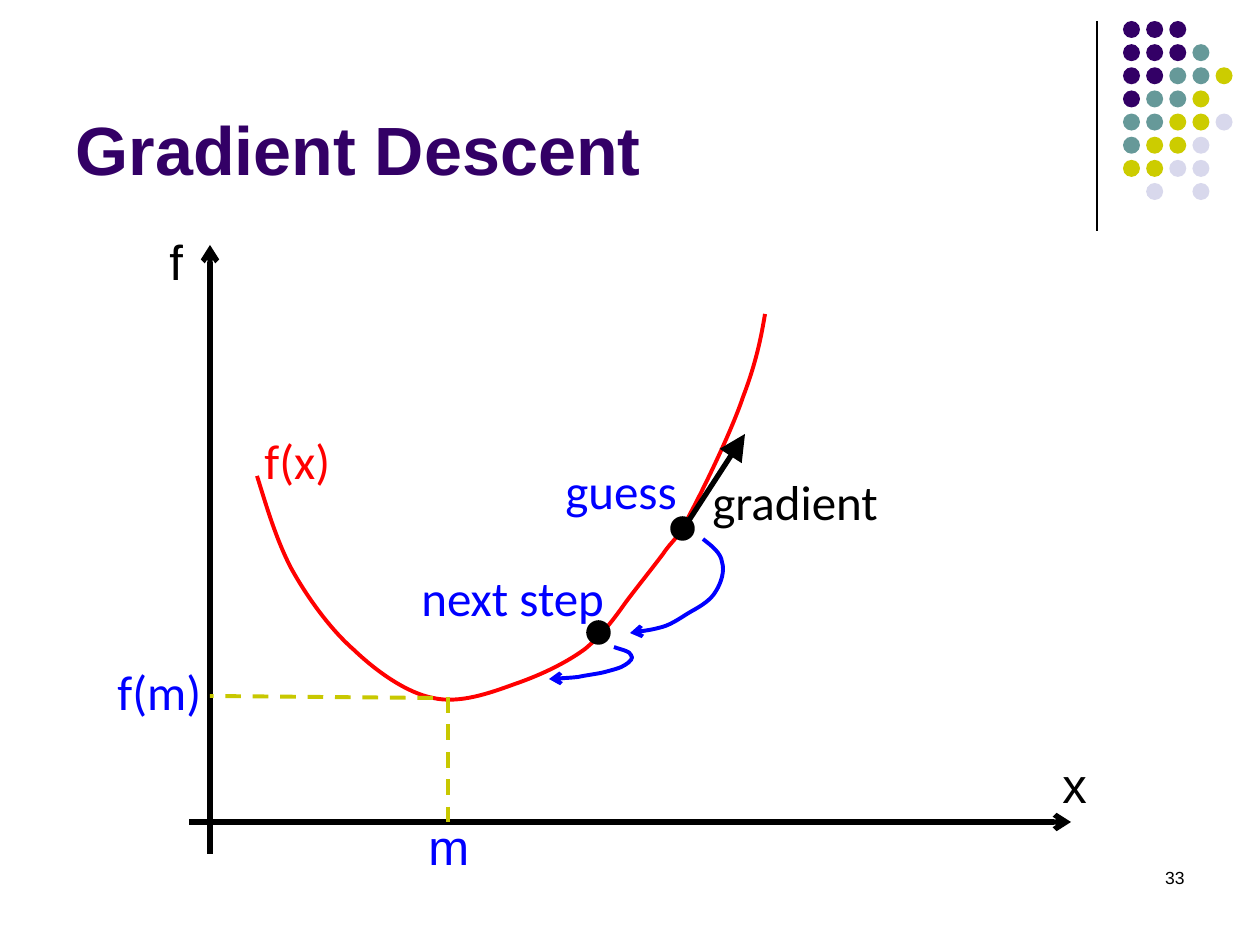
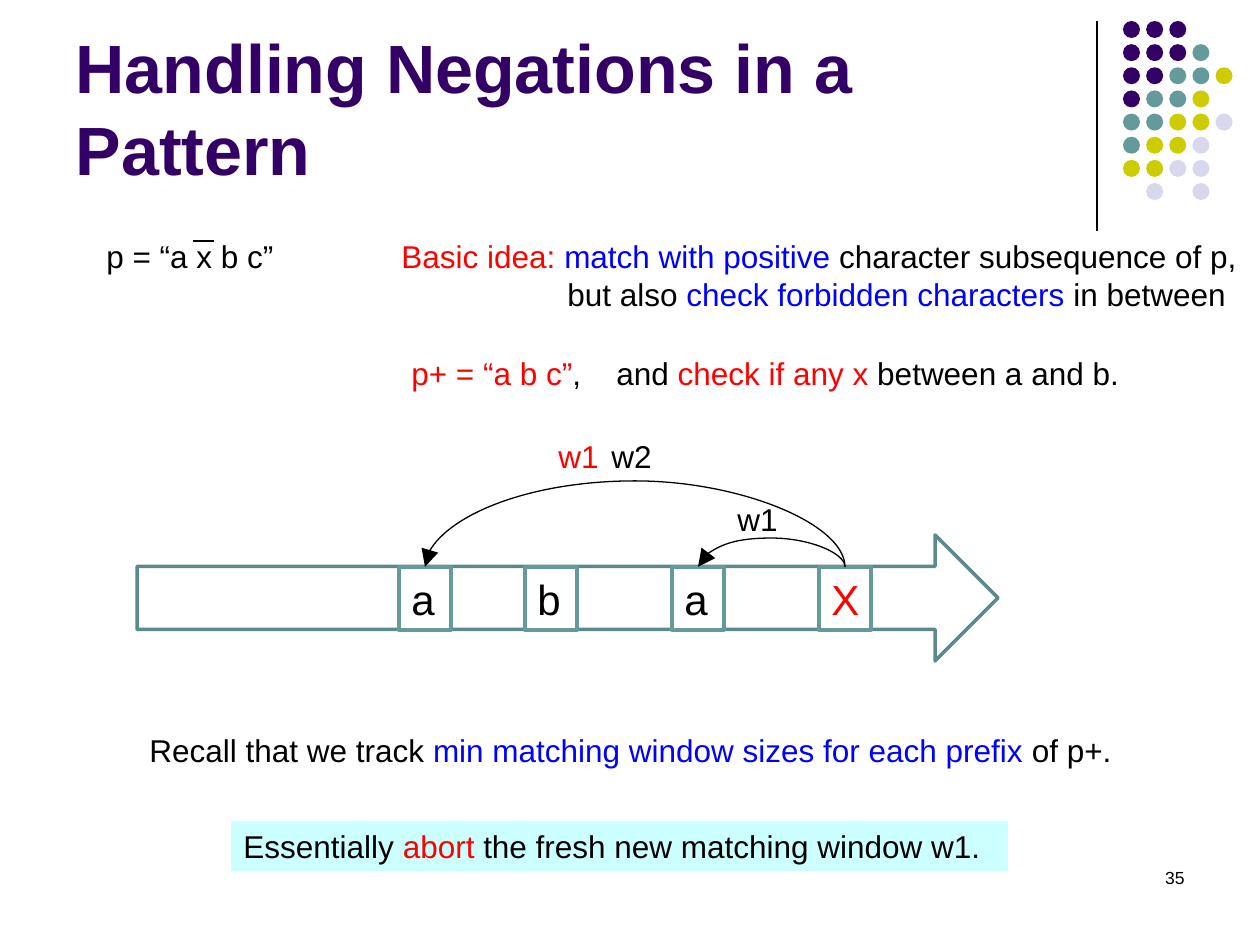
from dataclasses import dataclass

from lxml import etree
from pptx import Presentation
from pptx.dml.color import RGBColor
from pptx.enum.dml import MSO_LINE
from pptx.enum.shapes import MSO_CONNECTOR, MSO_SHAPE
from pptx.enum.text import MSO_ANCHOR, MSO_AUTO_SIZE, PP_ALIGN
from pptx.oxml.ns import qn
from pptx.util import Pt

STRAIGHT, CURVE = MSO_CONNECTOR.STRAIGHT, MSO_CONNECTOR.CURVE
OVAL, RECT, RIGHT_ARROW = MSO_SHAPE.OVAL, MSO_SHAPE.RECTANGLE, MSO_SHAPE.RIGHT_ARROW
DASH = MSO_LINE.DASH
TOP, MIDDLE, BOTTOM = MSO_ANCHOR.TOP, MSO_ANCHOR.MIDDLE, MSO_ANCHOR.BOTTOM
LEFT, RIGHT = PP_ALIGN.LEFT, PP_ALIGN.RIGHT
NO_AUTOFIT = MSO_AUTO_SIZE.NONE
TITLE_ONLY = 5
EMU_PER_PX = 914400 / 126
CONNECTOR_DEPTH = 1588  # EMU between the two ends of a level curved connector
OPEN_HEAD = {"type": "arrow"}
LARGE_HEAD = {"type": "triangle", "w": "lg", "len": "lg"}


@dataclass(frozen=True)
class Theme:
    purple: str = "330066"
    teal: str = "669999"
    dark_teal: str = "5C8A8A"
    olive: str = "CCCC00"
    dash: str = "C8C800"
    lavender: str = "D8D8EC"
    cyan: str = "CCFFFF"
    black: str = "000000"
    white: str = "FFFFFF"
    red: str = "FF0000"
    blue: str = "0000FF"
    font: str = "Arial"
    label_font: str = "Calibri"
    title_size: int = 39
    label_size: int = 28
    box_size: int = 24
    body_size: int = 18
    number_size: int = 10


T = Theme()

# Shared by both slides
TITLE_BOX = (63, 16, 1040, 179)
NUMBER_BOX = (903, 861, 294, 63)
RULE = ((1097, 21), (1097, 231))
DOT_ROWS = ["PPP", "PPPT", "PPTTO", "PTTO", "TTOOL", "TOOL", "OOLL", " L L"]
DOT_COLORS = {"P": T.purple, "T": T.teal, "O": T.olive, "L": T.lavender}
DOT_LEFT, DOT_TOP, DOT_SIZE = 1123, 21, 17
DOT_PITCH = 162 / (len(DOT_ROWS) - 1)

# Gradient descent
AXES = [((189, 822), (1071, 822)), ((210, 854), (210, 245))]
GUIDES = [((448, 697), (448, 822)), ((433, 698), (210, 696))]
GRADIENT = ((684, 528), (745, 434))
POINTS = [(672, 518), (588, 622)]
POINT_SIZE = 21
# A start point, then two control points and an end point per piece
FUNCTION_CURVE = [
    (257, 476), (267, 508), (276, 539), (291, 568),
    (307, 597), (330, 629), (354, 650), (377, 672), (407, 693), (433, 698),
    (460, 704), (490, 693), (515, 684), (541, 675), (566, 663), (585, 649),
    (602, 635), (614, 619), (626, 602), (638, 586), (651, 570), (663, 554),
    (673, 539), (677, 541), (690, 514), (704, 488), (732, 430), (743, 397),
    (756, 363), (761, 338), (765, 314)]
STEP_CURVES = [
    [(703, 539), (712, 546), (721, 553), (722, 562), (725, 571), (721, 583), (716, 591),
     (711, 600), (701, 606), (692, 611), (683, 616), (673, 624), (662, 627),
     (651, 630), (630, 633), (630, 633)],
    [(614, 647), (622, 650), (630, 651), (631, 655), (634, 658), (630, 662), (625, 665),
     (621, 668), (612, 670), (605, 672), (597, 674), (587, 675), (578, 677),
     (568, 678), (549, 679), (549, 679)]]
LABEL_HEIGHT = 72
LABELS = [  # left, top, width, text, colour, font
    (1050, 748, 73, "x", T.black, T.font),
    (157, 225, 73, "f", T.black, T.font),
    (252, 424, 105, "f(x)", T.red, T.label_font),
    (416, 810, 73, "m", T.blue, T.font),
    (105, 655, 118, "f(m)", T.blue, T.label_font),
    (553, 454, 150, "guess", T.blue, T.label_font),
    (409, 561, 210, "next step", T.blue, T.label_font),
    (700, 465, 203, "gradient", T.black, T.label_font)]

# Negations
NEGATION_BAR = ((193, 241), (214, 241))
STREAM_ARROW = (137, 535, 861, 126)
BOX_TOP, BOX_WIDTH, BOX_HEIGHT = 567, 52, 63
STREAM = [(399, "a"), (525, "b"), (672, "a"), (819, "")]
FORBIDDEN = (819, 567, 95, 63), [[("X", T.red)]]
WINDOWS = [(3, 2, 32), (3, 0, 95)]  # from box, to box, height of the arc
PATTERN = (94, 231, 273, 53), [[("p = “a x b c”", T.black)]]
IDEA = (389, 231, 866, 89), [
    [("Basic idea: ", T.red), ("match with positive ", T.blue),
     ("character subsequence of p,", T.black)],
    [("but also ", T.black), ("check forbidden characters ", T.blue), ("in between", T.black)]]
IDEA_INDENT = 166
POSITIVE = (399, 348, 746, 50), [
    [("p+ = “a b c”", T.red), (",\tand ", T.black), ("check if any x", T.red),
     (" between a and b.", T.black)]]
POSITIVE_TAB = 205
OTHER_TEXTS = [
    PATTERN,
    ((137, 725, 987, 50), [[("Recall that we track ", T.black),
                            ("min matching window sizes for each prefix", T.blue),
                            (" of p+.", T.black)]]),
    ((725, 494, 73, 50), [[("w1", T.black)]]),
    ((599, 431, 73, 50), [[("w2", T.black)]]),
    ((546, 431, 73, 50), [[("w1", T.red)]])]
CONCLUSION = (231, 821, 777, 50), [
    [("Essentially ", T.black), ("abort", T.red),
     (" the fresh new matching window w1.", T.black)]]


def px(value):
    return round(value * EMU_PER_PX)


def emu(values):
    return [px(v) for v in values]


def rgb(color):
    return RGBColor.from_string(color)


def style_line(sp, color, width, head=None, dash=None):
    sp.line.color.rgb = rgb(color)
    sp.line.width = Pt(width)
    if dash:
        sp.line.dash_style = dash
    if head:
        ln = sp.element.spPr.find(qn("a:ln"))
        etree.SubElement(ln, qn("a:tailEnd"), head)


def add_line(shapes, ends, color, width, head=None, dash=None, kind=STRAIGHT):
    start, end = ends
    cxn = shapes.add_connector(kind, *emu(start), *emu(end))
    style_line(cxn, color, width, head, dash)
    etree.SubElement(cxn.element.spPr, qn("a:effectLst"))
    return cxn


def add_shape(shapes, kind, box, fill=None, line=None, width=2):
    sp = shapes.add_shape(kind, *emu(box))
    sp.shadow.inherit = False
    if fill:
        sp.fill.solid()
        sp.fill.fore_color.rgb = rgb(fill)
    else:
        sp.fill.background()
    if line:
        style_line(sp, line, width)
    else:
        sp.line.fill.background()
    return sp


def write(sp, paragraphs, size, font=T.font, anchor=TOP, align=LEFT, bold=False):
    """Fill a shape with paragraphs, each a list of (text, colour) runs."""
    tf = sp.text_frame
    tf.word_wrap = True
    tf.auto_size = NO_AUTOFIT
    tf.vertical_anchor = anchor
    for i, runs in enumerate(paragraphs):
        p = tf.add_paragraph() if i else tf.paragraphs[0]
        p.alignment = align
        for text, color in runs:
            r = p.add_run()
            r.text = text
            r.font.name, r.font.size, r.font.bold = font, Pt(size), bold
            r.font.color.rgb = rgb(color)
    return tf


def add_text(s, box, paragraphs, size=T.body_size, **style):
    return write(s.shapes.add_textbox(*emu(box)), paragraphs, size, **style)


def add_curve(s, nodes, color, head=None):
    """Outline the nodes, then turn every three segments into one cubic curve."""
    start, *rest = [emu(node) for node in nodes]
    builder = s.shapes.build_freeform(*start)
    builder.add_line_segments(rest, close=False)
    sp = builder.convert_to_shape()
    path = next(sp.element.iter(qn("a:path")))
    segments = path.findall(qn("a:lnTo"))
    for i in range(0, len(segments), 3):
        cubic = etree.SubElement(path, qn("a:cubicBezTo"))
        for segment in segments[i:i + 3]:
            cubic.append(segment[0])
            path.remove(segment)
    sp.shadow.inherit = False
    sp.fill.background()
    style_line(sp, color, 2.25, head)


def add_window(s, source, target, lift):
    """Join the tops of two boxes with a curved arrow that rises by lift."""
    ends = [(sp.left + sp.width // 2, sp.top) for sp in (source, target)]
    (x1, y), (x2, _) = ends
    cxn = add_line(s.shapes, ((0, 0), (1, 1)), T.black, 0.75, LARGE_HEAD, kind=CURVE)
    cxn.begin_connect(source, 0)
    cxn.end_connect(target, 0)
    span = x1 - x2
    cxn.left, cxn.top = (x1 + x2 - CONNECTOR_DEPTH) // 2, y - span // 2
    cxn.width, cxn.height = CONNECTOR_DEPTH, span
    xfrm = cxn.element.spPr.find(qn("a:xfrm"))
    xfrm.attrib.pop("flipH", None)
    xfrm.set("rot", str(270 * 60000))
    xfrm.set("flipV", "1")
    geom = cxn.element.spPr.find(qn("a:prstGeom"))
    guides = geom.find(qn("a:avLst"))
    if guides is None:
        guides = etree.SubElement(geom, qn("a:avLst"))
    ratio = round(px(lift) / CONNECTOR_DEPTH * 100000)
    etree.SubElement(guides, qn("a:gd"), name="adj1", fmla=f"val {ratio}")


def decorate_master(prs, s):
    """Draw the rule and the dots once and hand them to the slide master."""
    rule = add_line(s.shapes, RULE, T.black, 0.75)
    group = s.shapes.add_group_shape()
    for row, codes in enumerate(DOT_ROWS):
        for col, code in enumerate(codes):
            if code in DOT_COLORS:
                box = (DOT_LEFT + col * DOT_PITCH, DOT_TOP + row * DOT_PITCH, DOT_SIZE, DOT_SIZE)
                add_shape(group.shapes, OVAL, box, DOT_COLORS[code])
    tree = prs.slide_master.shapes.element
    for part in (rule, group):
        tree.append(part.element)
    for shape_id, props in enumerate(tree.iter(qn("p:cNvPr")), 1):
        props.set("id", str(shape_id))


def add_slide(prs, title, number):
    s = prs.slides.add_slide(prs.slide_layouts[TITLE_ONLY])
    sp = s.shapes.title
    sp.left, sp.top, sp.width, sp.height = emu(TITLE_BOX)
    write(sp, [[(title, T.purple)]], T.title_size, anchor=BOTTOM, bold=True)
    add_text(s, NUMBER_BOX, [[(str(number), T.black)]], T.number_size, align=RIGHT)
    return s


def draw_gradient_descent(s):
    for ends in AXES:
        add_line(s.shapes, ends, T.black, 3, OPEN_HEAD)
    add_curve(s, FUNCTION_CURVE, T.red)
    for ends in GUIDES:
        add_line(s.shapes, ends, T.dash, 2.25, dash=DASH)
    add_line(s.shapes, GRADIENT, T.black, 3, LARGE_HEAD)
    for point in POINTS:
        add_shape(s.shapes, OVAL, (*point, POINT_SIZE, POINT_SIZE), T.black, T.black)
    for nodes in STEP_CURVES:
        add_curve(s, nodes, T.blue, OPEN_HEAD)
    for left, top, width, text, color, font in LABELS:
        add_text(s, (left, top, width, LABEL_HEIGHT), [[(text, color)]], T.label_size, font=font)


def draw_negations(s):
    add_line(s.shapes, NEGATION_BAR, T.black, 0.75)
    add_shape(s.shapes, RIGHT_ARROW, STREAM_ARROW, line=T.dark_teal)
    boxes = []
    for left, text in STREAM:
        sp = add_shape(s.shapes, RECT, (left, BOX_TOP, BOX_WIDTH, BOX_HEIGHT), T.white, T.teal)
        if text:
            write(sp, [[(text, T.black)]], T.box_size, anchor=MIDDLE)
        boxes.append(sp)
    for source, target, lift in WINDOWS:
        add_window(s, boxes[source], boxes[target], lift)

    for box, paragraphs in OTHER_TEXTS:
        add_text(s, box, paragraphs)
    tf = add_text(s, *IDEA)
    tf.paragraphs[1]._p.get_or_add_pPr().set("marL", str(px(IDEA_INDENT)))
    tf = add_text(s, *POSITIVE)
    tabs = etree.SubElement(tf.paragraphs[0]._p.get_or_add_pPr(), qn("a:tabLst"))
    etree.SubElement(tabs, qn("a:tab"), pos=str(px(POSITIVE_TAB)), algn="l")
    box, paragraphs = CONCLUSION
    write(add_shape(s.shapes, RECT, box, T.cyan), paragraphs, T.body_size)
    add_text(s, *FORBIDDEN, T.box_size, anchor=MIDDLE)


def main():
    prs = Presentation()
    prs.slide_width, prs.slide_height = px(1260), px(945)
    s = add_slide(prs, "Gradient Descent", 33)
    decorate_master(prs, s)
    draw_gradient_descent(s)
    draw_negations(add_slide(prs, "Handling Negations in a Pattern", 35))
    prs.save("out.pptx")


if __name__ == "__main__":
    main()
